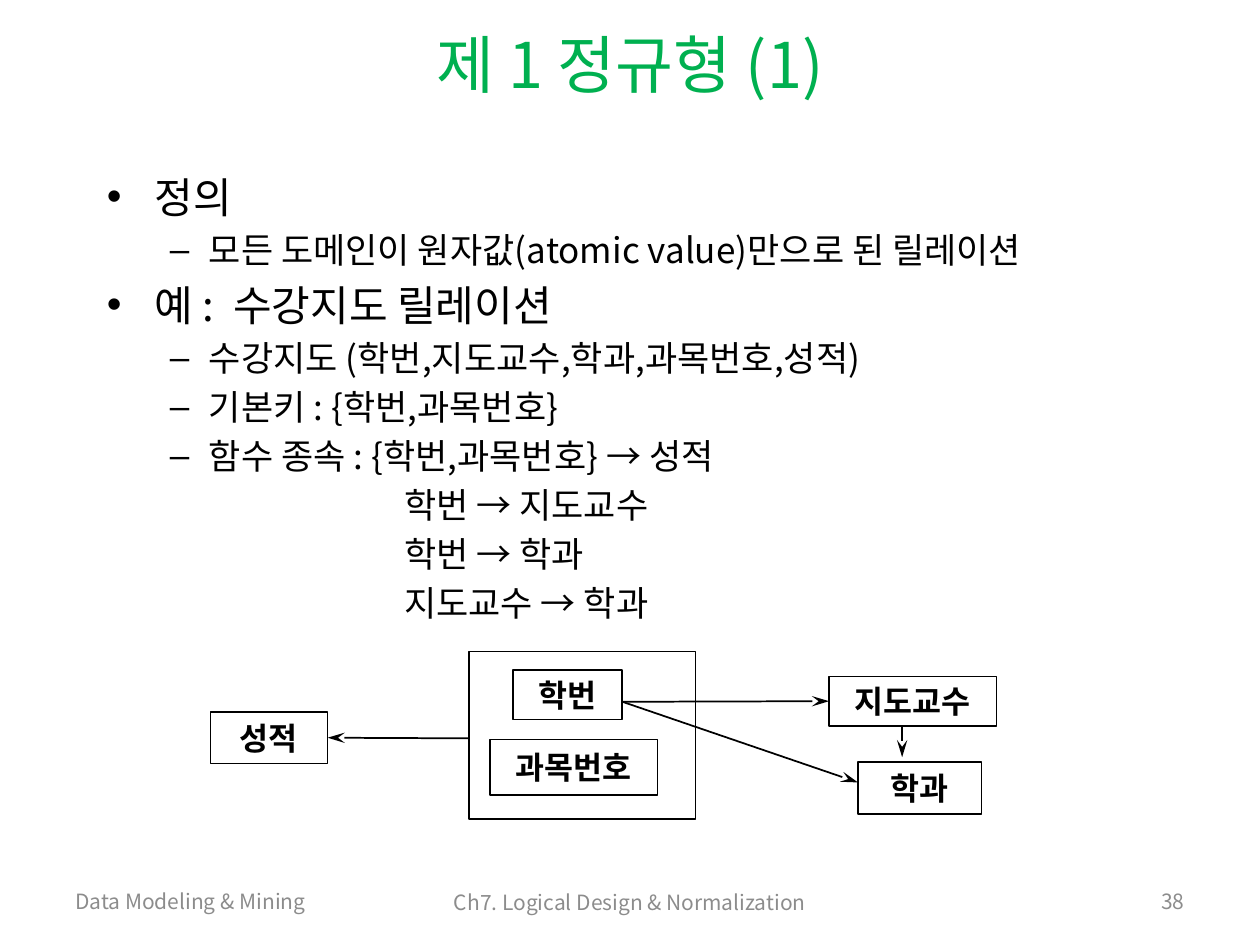
from dataclasses import dataclass

from lxml import etree
from pptx import Presentation
from pptx.dml.color import RGBColor
from pptx.enum.shapes import MSO_CONNECTOR, MSO_SHAPE
from pptx.enum.text import MSO_ANCHOR, PP_ALIGN
from pptx.oxml.ns import qn
from pptx.util import Inches, Pt

LEFT, CENTER, RIGHT = PP_ALIGN.LEFT, PP_ALIGN.CENTER, PP_ALIGN.RIGHT
TOP, MIDDLE = MSO_ANCHOR.TOP, MSO_ANCHOR.MIDDLE
RECTANGLE, STRAIGHT = MSO_SHAPE.RECTANGLE, MSO_CONNECTOR.STRAIGHT
LEFT_SIDE, RIGHT_SIDE = 1, 3


@dataclass(frozen=True)
class Theme:
    font: str = "Noto Sans CJK KR"
    label_font: str = "Arial"
    ink: RGBColor = RGBColor(0x00, 0x00, 0x00)
    title: RGBColor = RGBColor(0x00, 0xB0, 0x50)
    footer: RGBColor = RGBColor(0x8C, 0x8C, 0x8C)
    title_size: int = 36
    topic_size: int = 24
    detail_size: int = 20
    label_size: int = 18
    footer_size: int = 12


THEME = Theme()

# Kind of line: bullet, text margin, first-line indent, size
LEVELS = {
    "topic": ("•", 0.38, -0.38, THEME.topic_size),
    "detail": ("–", 0.81, -0.31, THEME.detail_size),
    "continued": (None, 2.36, 0, THEME.detail_size),
}
BODY = [
    ("topic", "정의"),
    ("detail", "모든 도메인이 원자값(atomic value)만으로 된 릴레이션"),
    ("topic", "예 :  수강지도 릴레이션"),
    ("detail", "수강지도 (학번,지도교수,학과,과목번호,성적)"),
    ("detail", "기본키 : {학번,과목번호}"),
    ("detail", "함수 종속 : {학번,과목번호} → 성적"),
    ("continued", "학번 → 지도교수"),
    ("continued", "학번 → 학과"),
    ("continued", "지도교수 → 학과"),
]
FOOTERS = [
    ("Data Modeling & Mining", (0.5, 6.95, 2.14, 0.4), LEFT),
    ("Ch7. Logical Design & Normalization", (2.99, 6.96, 4.02, 0.4), CENTER),
    ("38", (8.86, 6.95, 0.64, 0.4), RIGHT),
]


def inches(*lengths):
    return [Inches(length) for length in lengths]


def write(paragraph, text, *, size, color=THEME.ink, font=THEME.font,
          bold=False, align=LEFT):
    """Fill a paragraph with one formatted run, without pair kerning."""
    paragraph.alignment = align
    run = paragraph.add_run()
    run.text = text
    run.font.size = Pt(size)
    run.font.bold = bold
    run.font.color.rgb = color
    run.font.name = font
    properties = run.font._element
    properties.set("kern", "0")
    etree.SubElement(properties, qn("a:ea")).set("typeface", THEME.font)


def add_text_frame(slide, box, anchor):
    frame = slide.shapes.add_textbox(*inches(*box)).text_frame
    frame.word_wrap = True
    frame.vertical_anchor = anchor
    return frame


def set_level(paragraph, bullet, margin, indent):
    properties = paragraph._p.get_or_add_pPr()
    properties.set("marL", str(Inches(margin)))
    properties.set("indent", str(Inches(indent)))
    if bullet:
        font = etree.SubElement(properties, qn("a:buFont"))
        font.set("typeface", THEME.label_font)
        etree.SubElement(properties, qn("a:buChar")).set("char", bullet)


def add_title(slide, box):
    frame = add_text_frame(slide, box, MIDDLE)
    write(frame.paragraphs[0], "제 1 정규형 (1)", size=THEME.title_size,
          color=THEME.title, align=CENTER)


def add_body(slide, box):
    frame = add_text_frame(slide, box, TOP)
    for index, (level, text) in enumerate(BODY):
        paragraph = frame.add_paragraph() if index else frame.paragraphs[0]
        bullet, margin, indent, size = LEVELS[level]
        set_level(paragraph, bullet, margin, indent)
        if index:
            paragraph.space_before = Pt(size * 0.2)
        write(paragraph, text, size=size)


def add_footer(slide):
    for text, box, align in FOOTERS:
        frame = add_text_frame(slide, box, MIDDLE)
        write(frame.paragraphs[0], text, size=THEME.footer_size,
              color=THEME.footer, align=align)


def add_box(slide, box, label=None):
    shape = slide.shapes.add_shape(RECTANGLE, *inches(*box))
    shape.shadow.inherit = False
    shape.fill.background()
    shape.line.color.rgb = THEME.ink
    shape.line.width = Pt(1)
    if label:
        frame = shape.text_frame
        frame.word_wrap = False
        frame.vertical_anchor = MIDDLE
        write(frame.paragraphs[0], label, size=THEME.label_size,
              font=THEME.label_font, bold=True, align=CENTER)
    return shape


def add_arrow(slide, start, end):
    arrow = slide.shapes.add_connector(STRAIGHT, *inches(*start, *end))
    arrow.line.color.rgb = THEME.ink
    arrow.line.width = Pt(1)
    head = etree.SubElement(arrow.line._get_or_add_ln(), qn("a:tailEnd"))
    head.set("type", "stealth")
    head.set("len", "lg")
    etree.SubElement(arrow._element.spPr, qn("a:effectLst"))
    return arrow


def add_dependency_diagram(slide, left, top):
    """Draw the attributes and their functional dependencies."""
    def at(x, y, *size):
        return (left + x, top + y, *size)

    # Composite key and its attributes
    add_box(slide, at(2.05, 0, 1.8, 1.33))
    add_box(slide, at(2.4, 0.15, 0.87, 0.39), "학번")
    add_box(slide, at(2.22, 0.7, 1.33, 0.44), "과목번호")

    # Dependent attributes
    grade = add_box(slide, at(0, 0.48, 0.93, 0.41), "성적")
    add_box(slide, at(5.14, 0.88, 0.98, 0.41), "학과")
    adviser = add_box(slide, at(4.91, 0.2, 1.33, 0.39), "지도교수")

    # Dependencies
    student = at(3.27, 0.4)
    to_grade = add_arrow(slide, at(2.05, 0.69), at(0.93, 0.69))
    to_grade.end_connect(grade, RIGHT_SIDE)
    to_adviser = add_arrow(slide, student, at(4.91, 0.4))
    to_adviser.end_connect(adviser, LEFT_SIDE)
    add_arrow(slide, student, at(5.14, 1.04))
    add_arrow(slide, at(5.49, 0.6), at(5.49, 0.84))


def main():
    presentation = Presentation()
    presentation.slide_width, presentation.slide_height = inches(10, 7.5)
    slide = presentation.slides.add_slide(presentation.slide_layouts[6])
    add_footer(slide)
    add_title(slide, (0.5, 0.16, 9, 0.68))
    add_body(slide, (0.75, 1.31, 8.5, 5.12))
    add_dependency_diagram(slide, 1.67, 5.17)
    presentation.save("out.pptx")


if __name__ == "__main__":
    main()
